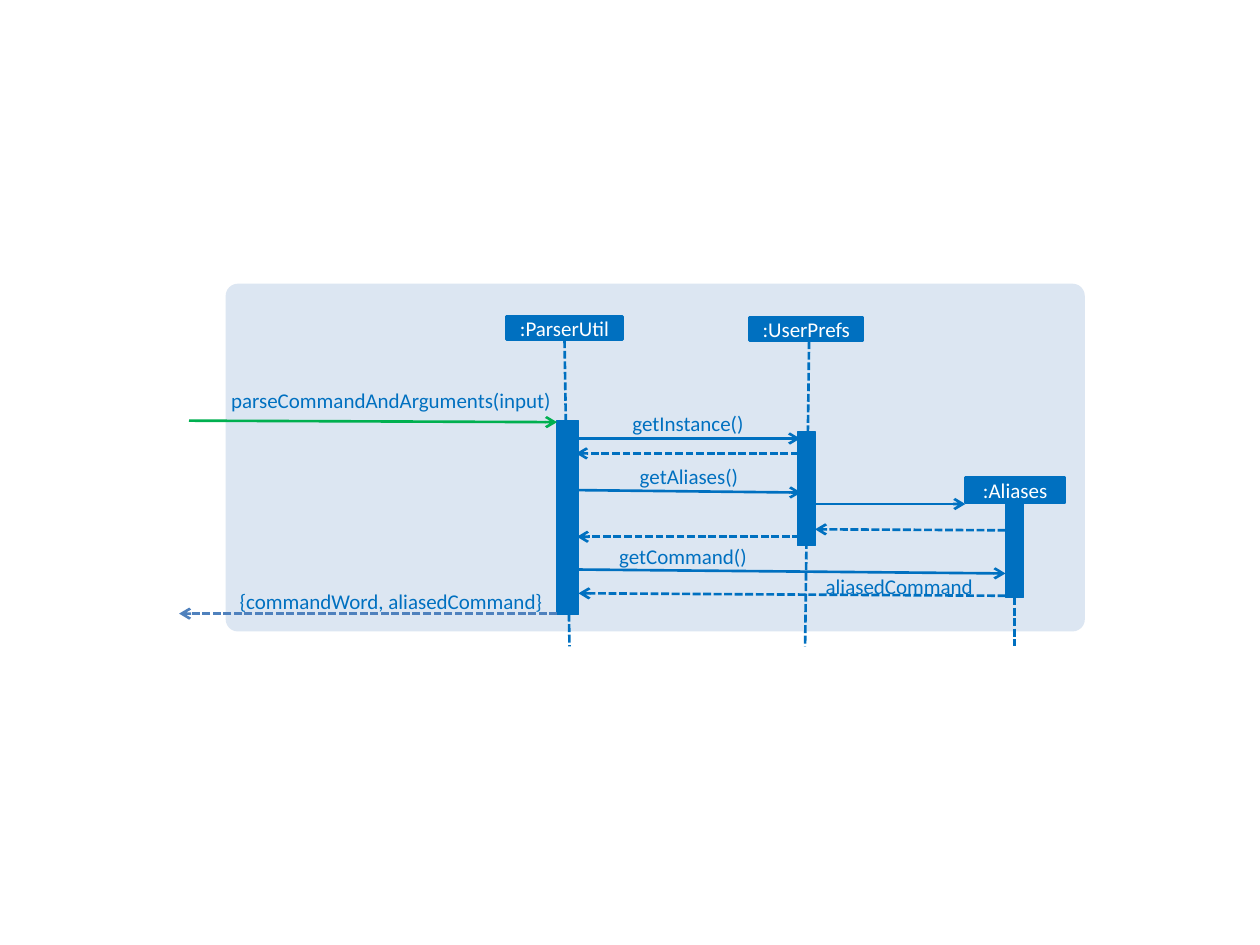
"""Build a sequence diagram of command alias parsing."""
from typing import NamedTuple

from lxml import etree
from pptx import Presentation
from pptx.dml.color import RGBColor
from pptx.enum.dml import MSO_LINE
from pptx.enum.shapes import MSO_CONNECTOR, MSO_SHAPE
from pptx.enum.text import MSO_ANCHOR, MSO_AUTO_SIZE, PP_ALIGN
from pptx.oxml.ns import qn
from pptx.shapes.autoshape import Shape
from pptx.shapes.connector import Connector
from pptx.shapes.shapetree import SlideShapes
from pptx.text.text import TextFrame
from pptx.util import Cm, Pt

RECTANGLE = MSO_SHAPE.RECTANGLE
ROUNDED = MSO_SHAPE.ROUNDED_RECTANGLE
STRAIGHT = MSO_CONNECTOR.STRAIGHT
DASH = MSO_LINE.SQUARE_DOT
MIDDLE = MSO_ANCHOR.MIDDLE
CENTER = PP_ALIGN.CENTER
FIT_TEXT = MSO_AUTO_SIZE.SHAPE_TO_FIT_TEXT

BLUE, GREEN, STEEL = "0070C0", "00B050", "4F81BD"
PALE, WHITE = "DCE6F2", "FFFFFF"
FONT, FONT_SIZE, LINE_WIDTH = "Calibri", 12, 1.5
LIFELINE_END = 13.03
LABEL_HEIGHT = 0.51


class Box(NamedTuple):
    """Position and size in centimetres."""
    left: float
    top: float
    width: float
    height: float


class Participant(NamedTuple):
    """Named object with its lifeline and activation bar."""
    name: str
    header: Box
    lifeline_x: tuple[float, float]
    lifeline_top: float
    activation: Box


class Message(NamedTuple):
    """Call or dashed return, from sender to receiver."""
    start: tuple[float, float]
    end: tuple[float, float]
    is_return: bool = False
    color: str = BLUE


class Label(NamedTuple):
    """Message text centred in a strip."""
    text: str
    left: float
    top: float
    width: float = 3.96


PANEL = Box(4.55, 5.72, 17.32, 7.01)
PARTICIPANTS = [
    Participant(":ParserUtil", Box(10.21, 6.38, 2.34, 0.46), (11.38, 11.48), 6.86,
                Box(11.23, 8.48, 0.43, 3.91)),
    Participant(":UserPrefs", Box(15.11, 6.4, 2.29, 0.46), (16.31, 16.23), 6.88,
                Box(16.08, 8.71, 0.36, 2.29)),
    Participant(":Aliases", Box(19.46, 9.63, 2.01, 0.51), (20.45, 20.45), 10.13,
                Box(20.27, 10.16, 0.36, 1.88)),
]
MESSAGES = [
    Message((3.81, 8.48), (11.23, 8.51), color=GREEN),
    Message((11.48, 8.84), (16.13, 8.84)),
    Message((16.1, 9.14), (11.61, 9.14), True),
    Message((11.66, 9.88), (16.15, 9.93)),
    Message((16.38, 10.16), (19.46, 10.16)),
    Message((20.27, 10.69), (16.43, 10.67), True),
    Message((16.13, 10.82), (11.63, 10.82), True),
    Message((11.56, 11.48), (20.27, 11.56)),
    Message((20.27, 12.01), (11.66, 11.96), True),
    Message((11.23, 12.37), (3.61, 12.37), True, STEEL),
]
LABELS = [
    Label("parseCommandAndArguments(input)", 4.24, 7.82, 7.29),
    Label("getInstance()", 11.89, 8.28),
    Label("getAliases()", 11.91, 9.35),
    Label("getCommand()", 11.79, 10.95),
    Label("aliasedCommand", 16.15, 11.56),
    Label("{commandWord, aliasedCommand}", 4.24, 11.86, 7.29),
]


def rgb(color: str) -> RGBColor:
    """Turn a hex string into a colour."""
    return RGBColor.from_string(color)


def write(frame: TextFrame, text: str, color: str) -> None:
    """Fill a frame with one centred line of text."""
    frame.margin_left = frame.margin_right = frame.margin_top = frame.margin_bottom = 0
    frame.word_wrap = True
    frame.text = text
    paragraph = frame.paragraphs[0]
    paragraph.alignment = CENTER
    font = paragraph.runs[0].font
    font.name, font.size = FONT, Pt(FONT_SIZE)
    font.color.rgb = rgb(color)


def draw_box(shapes: SlideShapes, box: Box, fill: str, border: float = 0,
             preset: MSO_SHAPE = RECTANGLE) -> Shape:
    """Draw a filled shape with a border of the same colour, if any."""
    shape = shapes.add_shape(preset, *map(Cm, box))
    shape.shadow.inherit = False
    shape.fill.solid()
    shape.fill.fore_color.rgb = rgb(fill)
    if border:
        shape.line.color.rgb = rgb(fill)
        shape.line.width = Pt(border)
    else:
        shape.line.fill.background()
    return shape


def draw_line(shapes: SlideShapes, start: tuple[float, float], end: tuple[float, float],
              color: str, dashed: bool) -> Connector:
    """Draw a straight line without shadow."""
    connector = shapes.add_connector(STRAIGHT, *map(Cm, (*start, *end)))
    connector.line.color.rgb = rgb(color)
    connector.line.width = Pt(LINE_WIDTH)
    if dashed:
        connector.line.dash_style = DASH
    etree.SubElement(connector.element.spPr, qn("a:effectLst"))
    return connector


def draw_participant(shapes: SlideShapes, participant: Participant) -> None:
    """Draw a header, its lifeline and its activation bar."""
    header = draw_box(shapes, participant.header, BLUE, LINE_WIDTH)
    header.text_frame.vertical_anchor = MIDDLE
    write(header.text_frame, participant.name, WHITE)
    top_x, bottom_x = participant.lifeline_x
    draw_line(shapes, (top_x, participant.lifeline_top), (bottom_x, LIFELINE_END), BLUE, True)
    draw_box(shapes, participant.activation, BLUE, 0.75)


def draw_message(shapes: SlideShapes, message: Message) -> None:
    """Draw a line with an open arrowhead at the receiver."""
    arrow = draw_line(shapes, message.start, message.end, message.color, message.is_return)
    etree.SubElement(arrow.line._get_or_add_ln(), qn("a:tailEnd"), type="arrow")


def draw_label(shapes: SlideShapes, label: Label) -> None:
    """Draw the text of a message."""
    strip = Box(label.left, label.top, label.width, LABEL_HEIGHT)
    frame = shapes.add_textbox(*map(Cm, strip)).text_frame
    write(frame, label.text, BLUE)
    frame.auto_size = FIT_TEXT


def main() -> None:
    """Build and save the slide."""
    deck = Presentation()
    deck.slide_width, deck.slide_height = Cm(25.4), Cm(19.05)
    shapes = deck.slides.add_slide(deck.slide_layouts[6]).shapes
    panel = draw_box(shapes, PANEL, PALE, preset=ROUNDED)
    panel.adjustments[0] = 0.035
    for participant in PARTICIPANTS:
        draw_participant(shapes, participant)
    for message in MESSAGES:
        draw_message(shapes, message)
    for label in LABELS:
        draw_label(shapes, label)
    deck.save("out.pptx")


if __name__ == "__main__":
    main()
